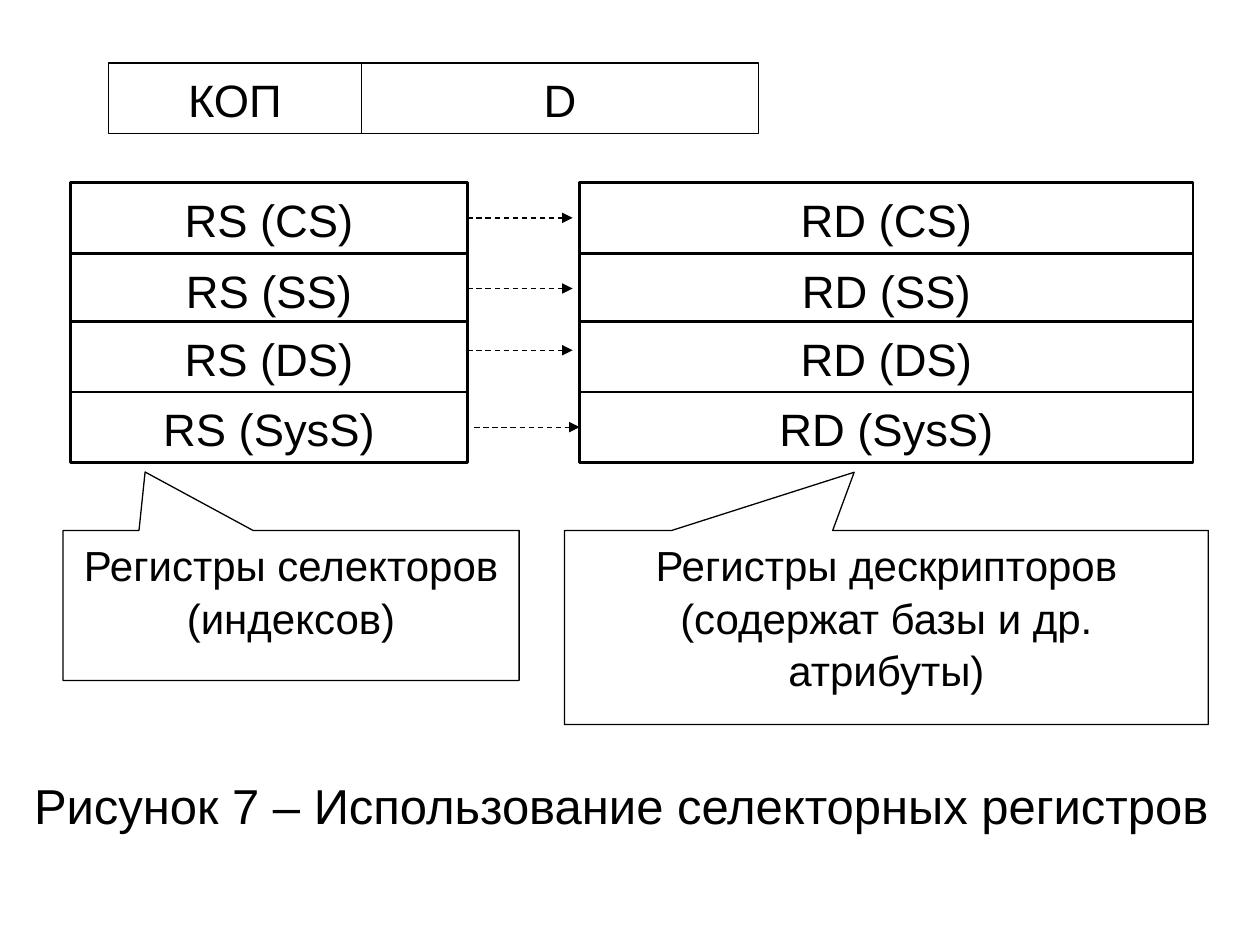
import dataclasses

import pptx
import pptx.util
import pptx.dml.color
import pptx.enum.dml
import pptx.enum.shapes
import pptx.enum.text
import pptx.oxml
import pptx.oxml.ns

SHAPE = pptx.enum.shapes.MSO_SHAPE
ALIGN = pptx.enum.text.PP_ALIGN
ANCHOR = pptx.enum.text.MSO_ANCHOR


@dataclasses.dataclass(frozen=True)
class Theme:
    font: str = "Arial"
    ink: str = "000000"
    paper: str = "FFFFFF"
    cell: float = 25.9
    note: float = 24
    title: float = 28
    thin: float = 0.75
    bold: float = 1.5


THEME = Theme()
WIDE = pptx.util.Inches(10)
HIGH = pptx.util.Inches(7.5)

# All lengths below are percent of the slide's width or height.
ROW = 7.47
LEFT, LEFT_W = 5.6, 31.5
RIGHT, RIGHT_W = 46, 48.7
REACH = 8.35  # length of an arrow
# Name, top of the row, shift of its arrow from the row's middle
ROWS = (
    ("CS", 19.33, 0),
    ("SS", 26.8, 0),
    ("DS", 34, -0.67),
    ("SysS", 41.47, 0),
)


def span(x, y):
    return round(WIDE * x / 100), round(HIGH * y / 100)


def tint(name):
    return pptx.dml.color.RGBColor.from_string(name)


def put(item, form):
    for name, value in form.items():
        setattr(item, name, value)


def write(shape, text, size, align=ALIGN.CENTER, anchor=ANCHOR.MIDDLE, gap=1.05):
    frame = shape.text_frame
    frame.text = text
    put(frame, {
        "word_wrap": True,
        "auto_size": pptx.enum.text.MSO_AUTO_SIZE.NONE,
        "vertical_anchor": anchor,
    })
    para = frame.paragraphs[0]
    put(para, {"alignment": align, "line_spacing": gap})
    font = para.runs[0].font
    put(font, {"name": THEME.font, "size": pptx.util.Pt(size)})
    font.color.rgb = tint(THEME.ink)


def stroke(line, width):
    line.color.rgb = tint(THEME.ink)
    line.width = pptx.util.Pt(width)


def block(slide, kind, x, y, w, h, width):
    shape = slide.shapes.add_shape(kind, *span(x, y), *span(w, h))
    shape.shadow.inherit = False
    shape.fill.solid()
    shape.fill.fore_color.rgb = tint(THEME.paper)
    stroke(shape.line, width)
    return shape


def cell(slide, text, x, y, w, width=THEME.bold):
    shape = block(slide, SHAPE.RECTANGLE, x, y, w, ROW, width)
    write(shape, text, THEME.cell)
    return shape


def note(slide, text, x, y, w, h, tip):
    """Add a callout; tip is its point as shares from the centre."""
    shape = block(slide, SHAPE.RECTANGULAR_CALLOUT, x, y, w, h, THEME.thin)
    for index, share in enumerate(tip):
        shape.adjustments[index] = share
    write(shape, text, THEME.note, anchor=ANCHOR.TOP)


def arrow(slide, x, y):
    line = slide.shapes.add_connector(
        pptx.enum.shapes.MSO_CONNECTOR.STRAIGHT, *span(x, y), *span(x + REACH, y))
    stroke(line.line, THEME.thin)
    line.line.dash_style = pptx.enum.dml.MSO_LINE.DASH
    names = pptx.oxml.ns.nsdecls("a")
    head = pptx.oxml.parse_xml(f'<a:tailEnd {names} type="triangle"/>')
    line.line._get_or_add_ln().append(head)
    line._element.spPr.append(pptx.oxml.parse_xml(f"<a:effectLst {names}/>"))
    return line


def pairs(slide):
    """Add the selector and descriptor rows with the arrows between them."""
    for name, top, shift in ROWS:
        source = cell(slide, f"RS ({name})", LEFT, top, LEFT_W)
        target = cell(slide, f"RD ({name})", RIGHT, top, RIGHT_W)
        last = name == ROWS[-1][0]
        start = RIGHT - REACH if last else LEFT + LEFT_W
        line = arrow(slide, start, top + ROW / 2 + shift)
        if last:
            line.end_connect(target, 1)
        elif not shift:
            line.begin_connect(source, 3)


def title(slide, text):
    shape = slide.shapes.title
    x, y = span(1.7, 81.07)
    w, h = span(96.7, 8.27)
    put(shape, {"left": x, "top": y, "width": w, "height": h})
    write(shape, text, THEME.title, align=ALIGN.LEFT, gap=1.0)


def main():
    deck = pptx.Presentation()
    put(deck, {"slide_width": WIDE, "slide_height": HIGH})
    slide = deck.slides.add_slide(deck.slide_layouts[5])
    title(slide, "Рисунок 7 – Использование селекторных регистров")
    cell(slide, "КОП", 8.6, 6.67, 20.1, THEME.thin)
    cell(slide, "D", 28.7, 6.67, 31.5, THEME.thin)
    pairs(slide)
    note(slide, "Регистры селекторов (индексов)",
         5, 56.13, 36.2, 15.87, (-0.32, -0.89))
    note(slide, "Регистры дескрипторов (содержат базы и др. атрибуты)",
         44.8, 56.13, 51.1, 20.53, (-0.05, -0.8))
    deck.save("out.pptx")


if __name__ == "__main__":
    main()
